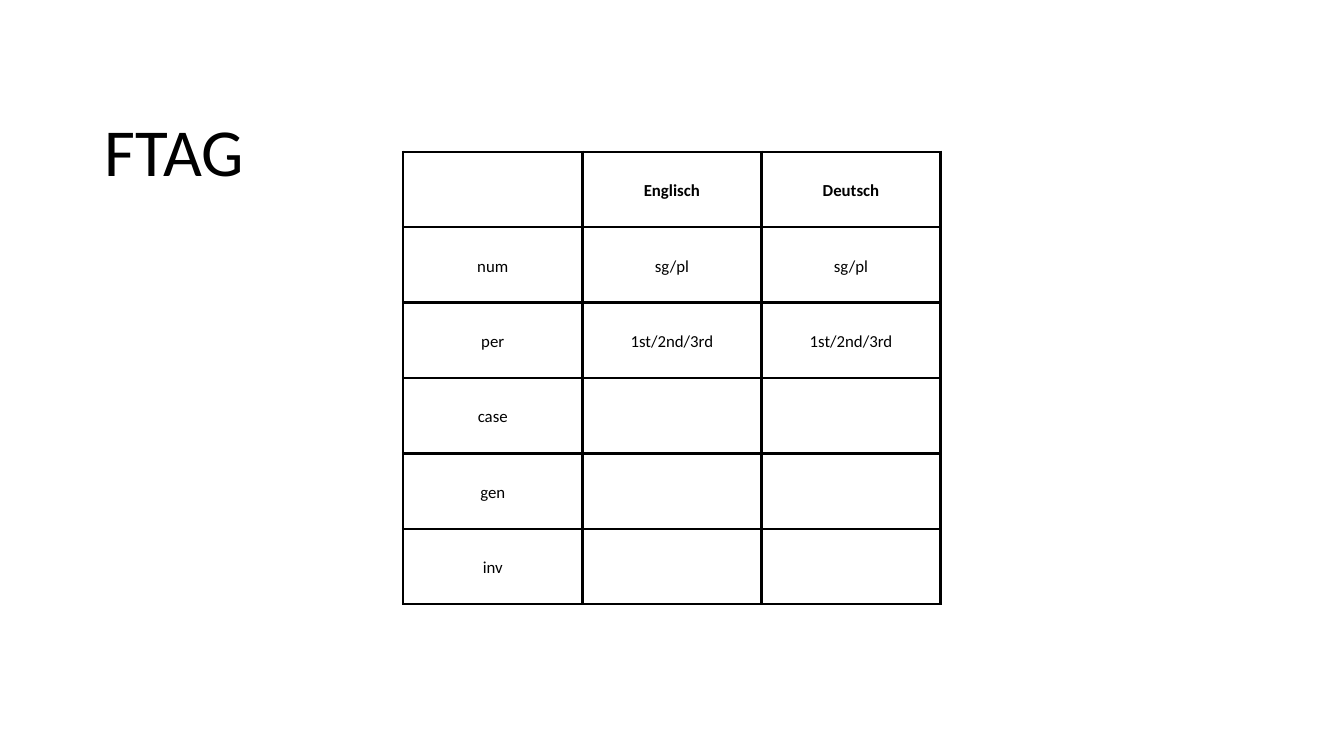
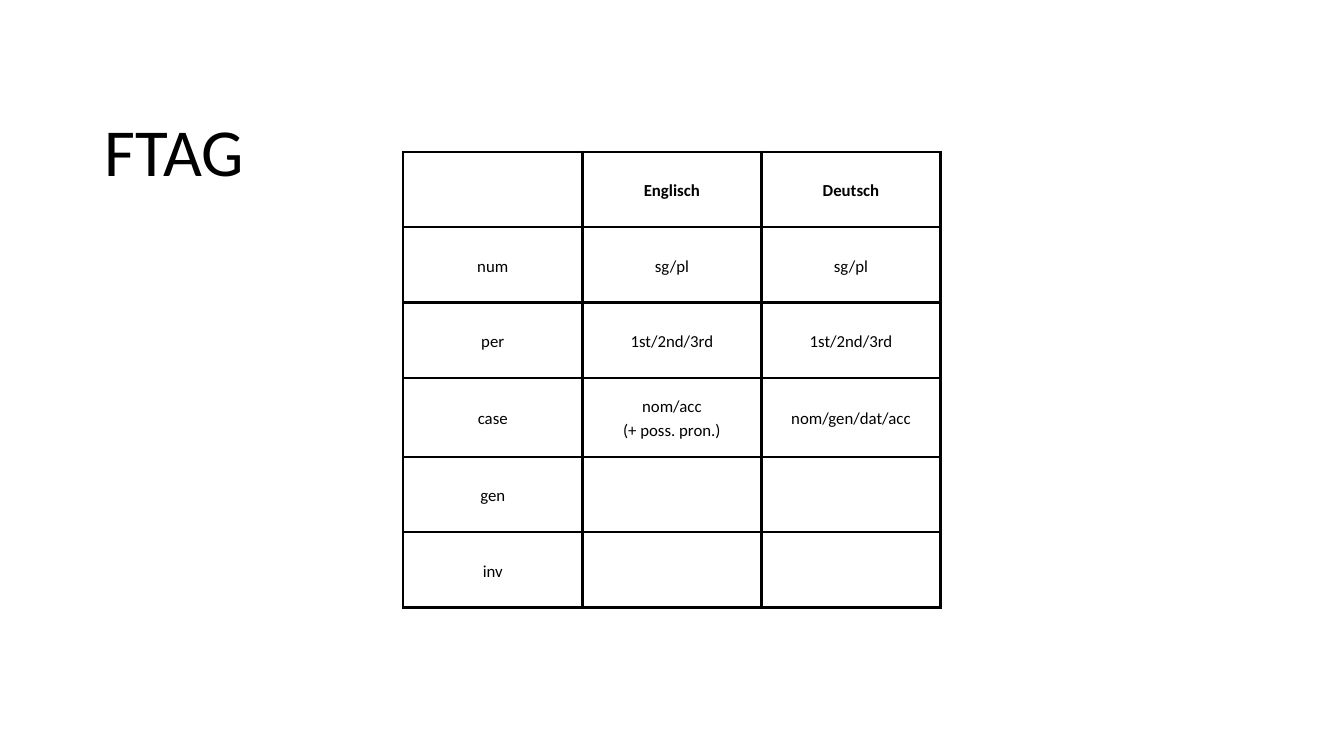
from lxml.etree import SubElement
from pptx import Presentation
from pptx.dml.color import RGBColor
from pptx.enum.text import MSO_ANCHOR, MSO_AUTO_SIZE, PP_ALIGN
from pptx.oxml.ns import qn
from pptx.util import Cm, Pt

BLACK = RGBColor(0x00, 0x00, 0x00)
WHITE = RGBColor(0xFF, 0xFF, 0xFF)
FONT = "Calibri"
TITLE_ONLY = 5

COLUMN_WIDTH = Cm(6.77)
ROW_HEIGHT = Cm(2.85)
TWO_LINE_HEIGHT = Cm(2.98)
CELL_MARGIN = Cm(0.53)
BORDER = Pt(3)

HEADER = ["", "Englisch", "Deutsch"]
FEATURES = {
    "num": ["sg/pl", "sg/pl"],
    "per": ["1st/2nd/3rd", "1st/2nd/3rd"],
    "case": ["", ""],
    "gen": ["", ""],
    "inv": ["", ""],
}
CASE_VALUES = ["nom/acc\n(+ poss. pron.)", "nom/gen/dat/acc"]


def format_paragraph(p, size, line_spacing, align, bold=False):
    p.alignment = align
    p.line_spacing = Pt(line_spacing)
    p.font.name = FONT
    p.font.size = Pt(size)
    p.font.bold = bold
    p.font.color.rgb = BLACK


def add_title(s, text):
    title = s.shapes.title
    title.left, title.top = Cm(3.96), Cm(3.63)
    title.width, title.height = Cm(42.88), Cm(3.38)
    tf = title.text_frame
    tf.text = text
    tf.margin_left = tf.margin_right = tf.margin_top = tf.margin_bottom = 0
    tf.vertical_anchor = MSO_ANCHOR.TOP
    tf.word_wrap = True
    tf.auto_size = MSO_AUTO_SIZE.SHAPE_TO_FIT_TEXT
    format_paragraph(tf.paragraphs[0], 72, 100.8, PP_ALIGN.LEFT)


def set_borders(cell):
    tc_pr = cell._tc.get_or_add_tcPr()
    for side in ("a:lnL", "a:lnR", "a:lnT", "a:lnB"):
        line = SubElement(tc_pr, qn(side), w=str(BORDER))
        fill = SubElement(line, qn("a:solidFill"))
        SubElement(fill, qn("a:srgbClr"), val=str(BLACK))


def fill_cell(cell, text, bold):
    cell.text = text
    cell.vertical_anchor = MSO_ANCHOR.MIDDLE
    cell.margin_left = cell.margin_right = CELL_MARGIN
    cell.margin_top = cell.margin_bottom = CELL_MARGIN
    set_borders(cell)
    cell.fill.solid()
    cell.fill.fore_color.rgb = WHITE
    for p in cell.text_frame.paragraphs:
        format_paragraph(p, 18, 25.2, PP_ALIGN.CENTER, bold)


def add_feature_table(s, features):
    rows = [HEADER] + [[name, *values] for name, values in features.items()]
    table = s.shapes.add_table(
        len(rows), len(HEADER), Cm(15.24), Cm(5.74),
        COLUMN_WIDTH * len(HEADER), ROW_HEIGHT * len(rows)).table
    table.first_row = table.horz_banding = False
    for column in table.columns:
        column.width = COLUMN_WIDTH
    for i, texts in enumerate(rows):
        two_lines = any("\n" in text for text in texts)
        table.rows[i].height = TWO_LINE_HEIGHT if two_lines else ROW_HEIGHT
        for j, text in enumerate(texts):
            fill_cell(table.cell(i, j), text, bold=i == 0)


def add_ftag_slide(prs, features):
    s = prs.slides.add_slide(prs.slide_layouts[TITLE_ONLY])
    add_title(s, "FTAG")
    add_feature_table(s, features)


def main():
    prs = Presentation()
    prs.slide_width, prs.slide_height = Cm(50.8), Cm(28.58)
    add_ftag_slide(prs, FEATURES)
    add_ftag_slide(prs, {**FEATURES, "case": CASE_VALUES})
    prs.save("out.pptx")


if __name__ == "__main__":
    main()
